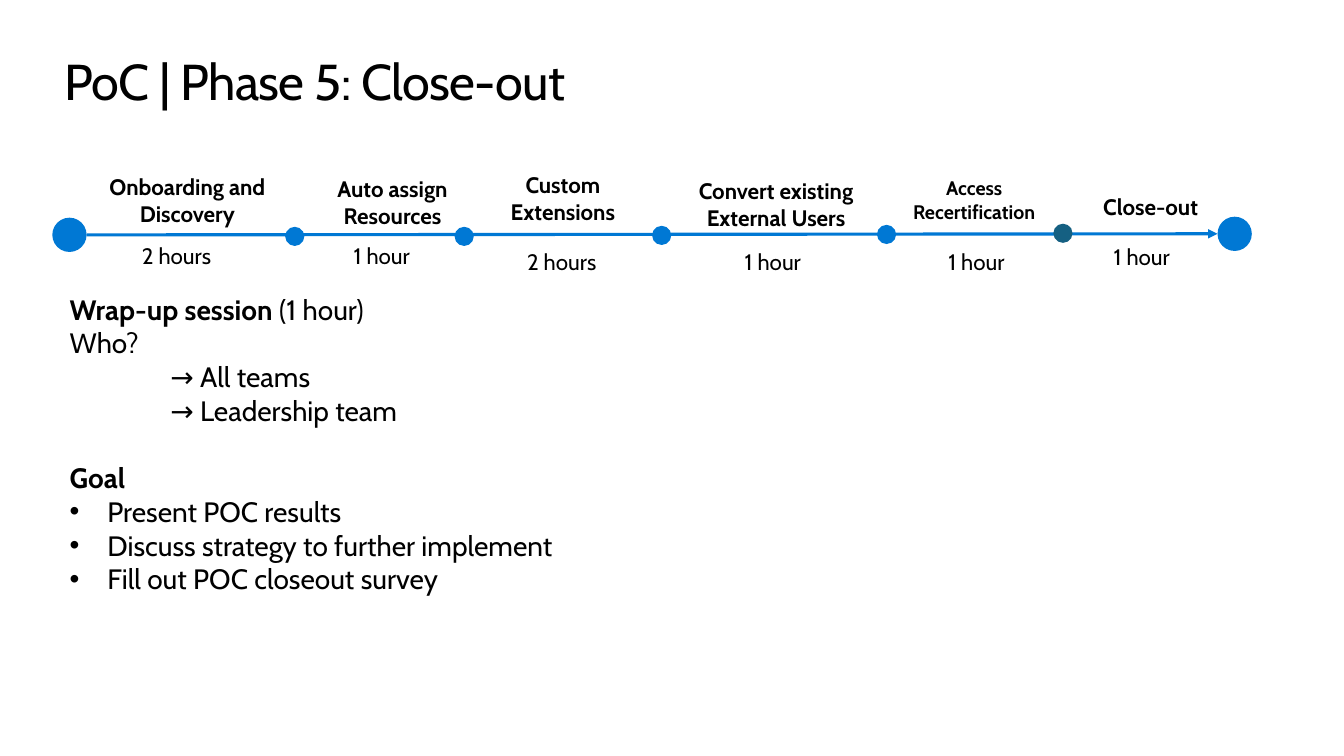
import pptx
import pptx.util
import pptx.dml.color
import pptx.enum.shapes
import pptx.enum.text
import pptx.oxml.ns
from lxml import etree

Pt = pptx.util.Pt
RGBColor = pptx.dml.color.RGBColor
MSO_SHAPE = pptx.enum.shapes.MSO_SHAPE
PP_ALIGN = pptx.enum.text.PP_ALIGN
qn = pptx.oxml.ns.qn

BLACK = RGBColor(0, 0, 0)
BLUE = RGBColor(0x00, 0x78, 0xD4)
TEAL = RGBColor(0x15, 0x60, 0x82)
FONT = "Cabin"

# name, size, (label left, top, width, height), hours, (hours left, top)
STAGES = [
    ("Onboarding and Discovery", 16, (20.9, 1.4, 151.2, 65.5), "2 hours", (56.9, 50.4)),
    ("Auto assign Resources", 16, (175.7, 2.9, 134.6, 46), "1 hour", (208.1, 50.4)),
    ("Custom Extensions", 16, (297.4, 0, 134.6, 46), "2 hours", (332, 54.7)),
    ("Convert existing External Users", 16, (441.4, 4.3, 151.2, 46), "1 hour", (487.5, 54.7)),
    ("Access Recertification", 14, (599.8, 3.6, 117.4, 41), "1 hour", (632.9, 54.7)),
    ("Close-out", 16, (737.3, 15.8, 94.3, 26.6), "1 hour", (751, 51.1)),
]
END_SIZE, STOP_SIZE = 24.5, 13.7
# left, top, diameter, colour
MILESTONES = [
    (0, 36.7, END_SIZE, BLUE),
    (166.3, 43.2, STOP_SIZE, BLUE),
    (287.3, 43.2, STOP_SIZE, BLUE),
    (428.4, 42.5, STOP_SIZE, BLUE),
    (589, 41.8, STOP_SIZE, BLUE),
    (715, 41, STOP_SIZE, TEAL),
    (832.3, 36, END_SIZE, BLUE),
]
# runs as (text, bold), left indent, hanging bullet, space before
AGENDA = [
    ([("Wrap-up session ", True), ("(1 hour)", False)], 0, False, 0),
    ([("Who?", False)], 0, False, 0),
    ([("→ All teams", False)], 72, False, 0),
    ([("→ Leadership team", False)], 72, False, 0),
    ([("Goal", True)], 0, False, 24.3),
    ([("Present POC results", False)], 27, True, 0),
    ([("Discuss strategy to further implement", False)], 27, True, 0),
    ([("Fill out POC closeout survey", False)], 27, True, 0),
]


def add_run(p, text, size, bold=False):
    r = p.add_run()
    r.text = text
    r.font.name = FONT
    r.font.size = Pt(size)
    r.font.bold = bold
    r.font.color.rgb = BLACK
    return r


def add_box(s, left, top, width, height, inset=True):
    """Add a wrapping text box and return its text frame."""
    tf = s.shapes.add_textbox(Pt(left), Pt(top), Pt(width), Pt(height)).text_frame
    tf.word_wrap = True
    if not inset:
        tf.margin_left = tf.margin_right = tf.margin_top = tf.margin_bottom = 0
    return tf


def add_title(s, left, top, width, height):
    p = add_box(s, left, top, width, height, inset=False).paragraphs[0]
    r = add_run(p, "PoC | Phase 5: Close-out", 36)
    r.font._element.set("spc", "-50")


def add_agenda(s, left, top, width, height):
    tf = add_box(s, left, top, width, height, inset=False)
    for i, (runs, indent, bullet, before) in enumerate(AGENDA):
        p = tf.add_paragraph() if i else tf.paragraphs[0]
        pPr = p._p.get_or_add_pPr()
        if indent:
            pPr.set("marL", str(Pt(indent)))
        if bullet:
            pPr.set("indent", str(-Pt(indent)))
            etree.SubElement(pPr, qn("a:buFont")).set("typeface", "Arial")
            etree.SubElement(pPr, qn("a:buChar")).set("char", "•")
        if before:
            p.space_before = Pt(before)
        for text, bold in runs:
            add_run(p, text, 20, bold)


def add_arrow(s, x1, y1, x2, y2):
    line = s.shapes.add_connector(
        pptx.enum.shapes.MSO_CONNECTOR.STRAIGHT, Pt(x1), Pt(y1), Pt(x2), Pt(y2))
    line.line.color.rgb = BLUE
    line.line.width = Pt(2.25)
    etree.SubElement(line.line._get_or_add_ln(), qn("a:tailEnd")).set("type", "triangle")
    etree.SubElement(line._element.spPr, qn("a:effectLst"))


def add_timeline(s, left, top, width):
    for name, size, (x, y, w, h), hours, (hours_x, hours_y) in STAGES:
        p = add_box(s, left + x, top + y, w, h).paragraphs[0]
        p.alignment = PP_ALIGN.CENTER
        add_run(p, name, size, bold=True)
        p = add_box(s, left + hours_x, top + hours_y, 67.7, 26.6).paragraphs[0]
        add_run(p, hours, 16)
    add_arrow(s, left + END_SIZE, top + 49, left + width - END_SIZE, top + 48.2)
    for x, y, size, color in MILESTONES:
        sp = s.shapes.add_shape(MSO_SHAPE.OVAL, Pt(left + x), Pt(top + y), Pt(size), Pt(size))
        sp.shadow.inherit = False
        sp.fill.solid()
        sp.fill.fore_color.rgb = color
        sp.line.fill.background()


def main():
    prs = pptx.Presentation()
    prs.slide_width, prs.slide_height = Pt(960), Pt(540)
    s = prs.slides.add_slide(prs.slide_layouts[6])
    add_title(s, 46, 36, 868, 44)
    add_timeline(s, 37.4, 118.8, 856.8)
    add_agenda(s, 49.7, 208.8, 798.5, 218)
    prs.save("out.pptx")


if __name__ == "__main__":
    main()
